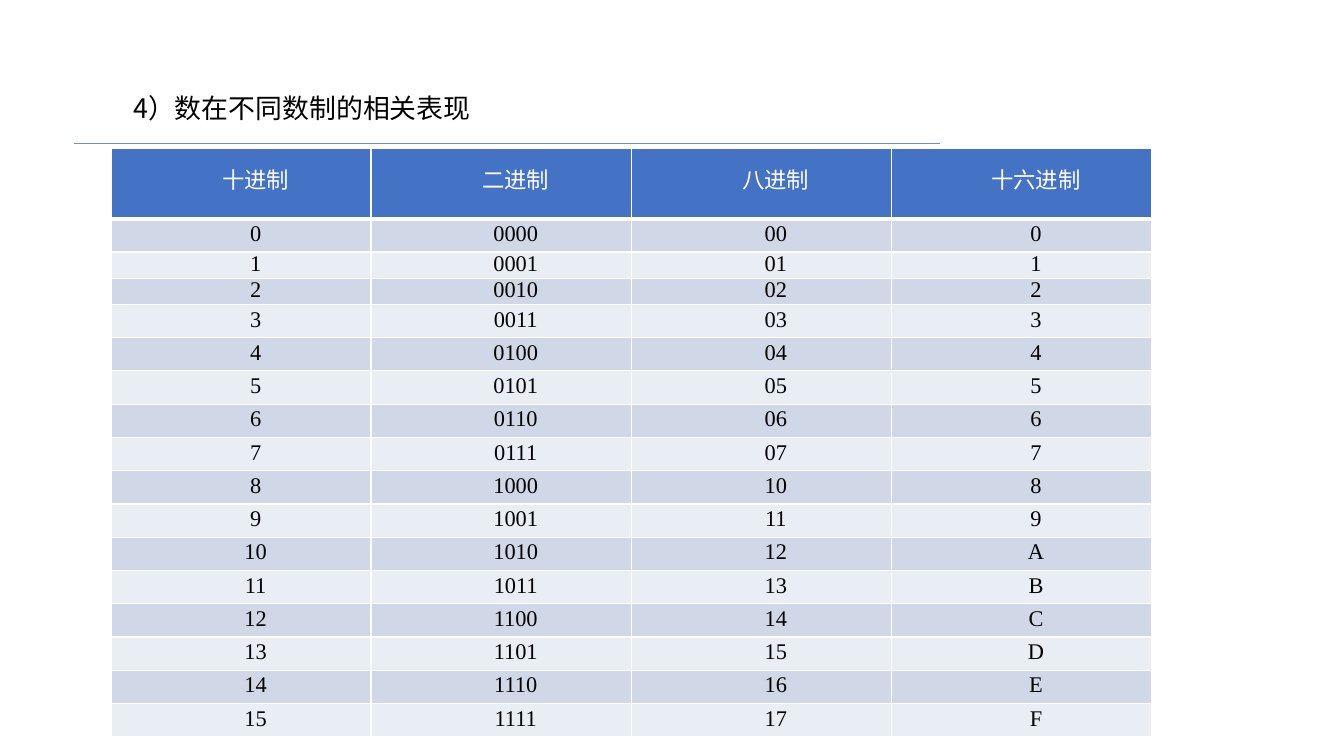
from dataclasses import dataclass

from lxml import etree
from pptx import Presentation
from pptx.dml.color import RGBColor
from pptx.enum.shapes import MSO_CONNECTOR
from pptx.enum.text import MSO_ANCHOR, MSO_AUTO_SIZE, PP_ALIGN
from pptx.oxml.ns import qn
from pptx.util import Inches, Pt

STRAIGHT = MSO_CONNECTOR.STRAIGHT
BOTTOM, MIDDLE = MSO_ANCHOR.BOTTOM, MSO_ANCHOR.MIDDLE
LEFT, CENTER = PP_ALIGN.LEFT, PP_ALIGN.CENTER
NO_AUTOFIT = MSO_AUTO_SIZE.NONE

SLIDE_WIDTH, SLIDE_HEIGHT = 13.33, 7.5
TITLE = "4）数在不同数制的相关表现"
HEADINGS = ["十进制", "二进制", "八进制", "十六进制"]
NUMBER_FORMATS = ["d", "04b", "02o", "X"]

# Table grid, in inches
COLUMN_WIDTH = 2.58
HEADER_HEIGHT, ROW_HEIGHT, SHORT_ROW_HEIGHT = 0.7, 0.33, 0.26
SHORT_ROWS = (2, 3)


@dataclass(frozen=True)
class Theme:
    chinese_font: str = "Noto Sans CJK SC"
    number_font: str = "Times New Roman"
    title_size: float = 19.2
    cell_size: float = 16
    line_spacing: float = 15.7
    text: str = "000000"
    header_text: str = "FFFFFF"
    header_fill: str = "4472C4"
    bands: tuple = ("E9EDF4", "D0D8E8")
    border: str = "FFFFFF"
    rule: str = "7492AF"


THEME = Theme()


def format_run(run, font_name, size, color):
    run.font.name = font_name
    run.font.size = Pt(size)
    run.font.bold = False
    run.font.color.rgb = RGBColor.from_string(color)
    east_asian = etree.SubElement(run.font._element, qn("a:ea"))
    east_asian.set("typeface", font_name)


def add_title(slide):
    title = slide.shapes.title
    title.left, title.top = Inches(1.22), Inches(0.29)
    title.width, title.height = Inches(4.42), Inches(0.99)
    frame = title.text_frame
    frame.text = TITLE
    frame.vertical_anchor = BOTTOM
    frame.word_wrap = True
    frame.auto_size = NO_AUTOFIT
    paragraph = frame.paragraphs[0]
    paragraph.alignment = LEFT
    format_run(paragraph.runs[0], THEME.chinese_font, THEME.title_size, THEME.text)


def add_rule(slide, left, right, top):
    rule = slide.shapes.add_connector(
        STRAIGHT, Inches(left), Inches(top), Inches(right), Inches(top))
    rule.line.color.rgb = RGBColor.from_string(THEME.rule)
    rule.line.width = Pt(0.5)
    etree.SubElement(rule._element.spPr, qn("a:effectLst"))


def set_borders(cell, row_index):
    """White grid, with a heavier line between header and body."""
    properties = cell._tc.get_or_add_tcPr()
    widths = {"lnL": 1, "lnR": 1,
              "lnT": 3 if row_index == 1 else 1,
              "lnB": 3 if row_index == 0 else 1}
    for side, width in widths.items():
        line = etree.SubElement(properties, qn(f"a:{side}"), w=str(Pt(width)))
        fill = etree.SubElement(line, qn("a:solidFill"))
        etree.SubElement(fill, qn("a:srgbClr"), val=THEME.border)


def fill_cell(cell, text, row_index):
    is_header = row_index == 0
    set_borders(cell, row_index)
    cell.fill.solid()
    cell.fill.fore_color.rgb = RGBColor.from_string(
        THEME.header_fill if is_header else THEME.bands[row_index % 2])
    cell.vertical_anchor = MIDDLE
    cell.margin_left = cell.margin_right = Inches(0.08)
    cell.margin_top = cell.margin_bottom = 0
    cell.text_frame.text = text
    paragraph = cell.text_frame.paragraphs[0]
    paragraph.alignment = CENTER
    paragraph.line_spacing = Pt(THEME.line_spacing)
    paragraph._p.get_or_add_pPr().set("indent", str(Inches(0.29)))
    format_run(paragraph.runs[0],
               THEME.chinese_font if is_header else THEME.number_font,
               THEME.cell_size,
               THEME.header_text if is_header else THEME.text)


def add_number_table(slide, left, top):
    rows = [HEADINGS] + [[format(number, code) for code in NUMBER_FORMATS]
                         for number in range(16)]
    heights = [HEADER_HEIGHT] + [
        SHORT_ROW_HEIGHT if index in SHORT_ROWS else ROW_HEIGHT
        for index in range(1, len(rows))]
    table = slide.shapes.add_table(
        len(rows), len(HEADINGS), Inches(left), Inches(top),
        Inches(COLUMN_WIDTH * len(HEADINGS)), Inches(sum(heights))).table
    for column in table.columns:
        column.width = Inches(COLUMN_WIDTH)
    for row_index, values in enumerate(rows):
        table.rows[row_index].height = Inches(heights[row_index])
        for column_index, value in enumerate(values):
            fill_cell(table.cell(row_index, column_index), value, row_index)


def main():
    presentation = Presentation()
    presentation.slide_width = Inches(SLIDE_WIDTH)
    presentation.slide_height = Inches(SLIDE_HEIGHT)
    slide = presentation.slides.add_slide(
        presentation.slide_layouts.get_by_name("Title Only"))
    add_title(slide)
    add_rule(slide, left=0.73, right=9.32, top=1.42)
    add_number_table(slide, left=1.1, top=1.47)
    presentation.save("out.pptx")


if __name__ == "__main__":
    main()
